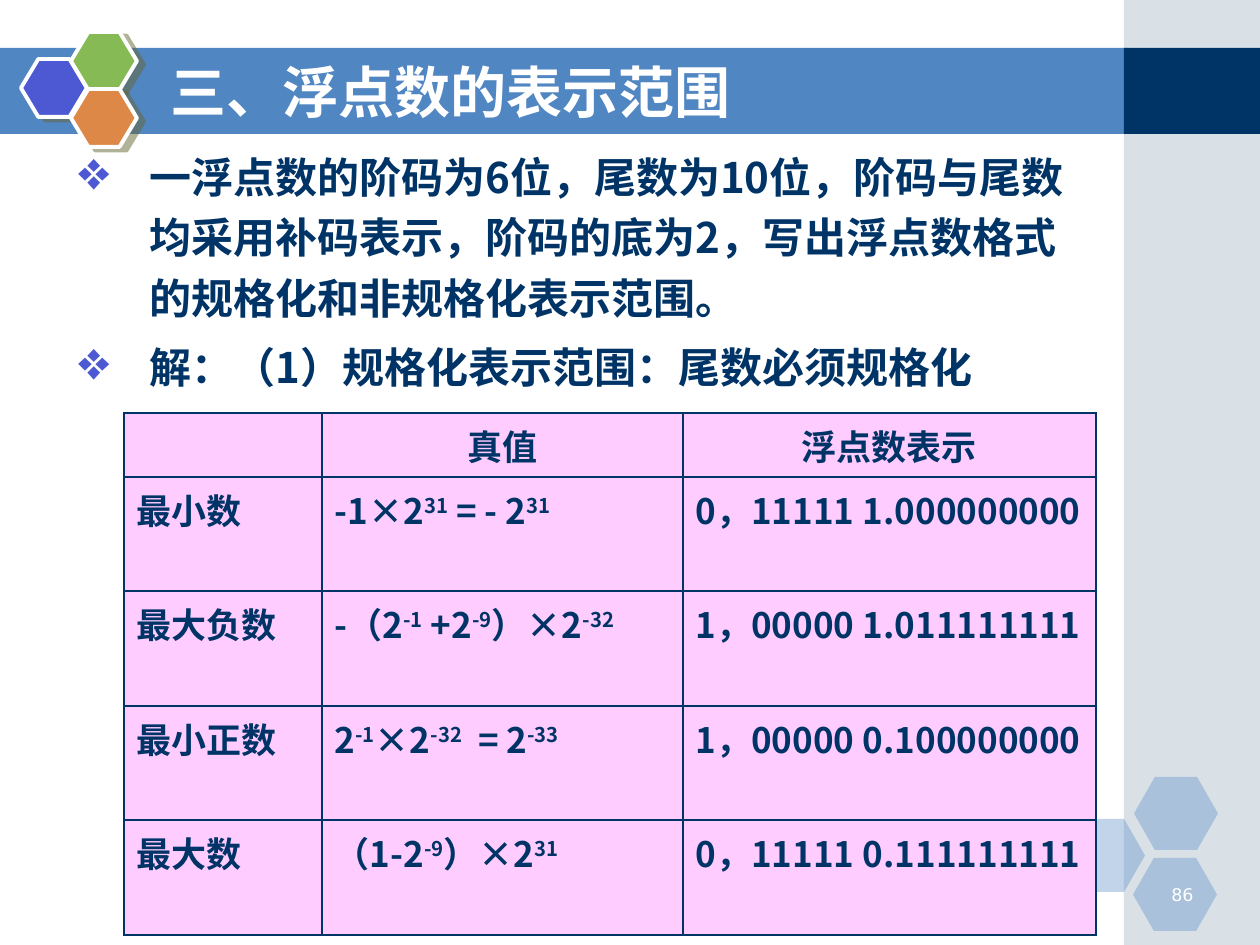
from dataclasses import dataclass
from typing import Any, Optional

import lxml.etree
import pptx
import pptx.dml.color
import pptx.enum.shapes
import pptx.enum.text
import pptx.oxml
import pptx.oxml.ns
import pptx.util

PX = 914400 / 126
CJK = "Noto Sans CJK SC"
NAVY = "003366"
BLUE = "5086C2"
WHITE = "FFFFFF"
PINK = "FFCCFF"
VIOLET = "4C59D2"
NS = pptx.oxml.ns.nsdecls("a")
SHAPE = pptx.enum.shapes.MSO_SHAPE
ALIGN = pptx.enum.text.PP_ALIGN
ANCHOR = pptx.enum.text.MSO_ANCHOR


@dataclass(frozen=True)
class Block:
    x: int
    y: int
    w: int
    h: int
    fill: str
    opacity: Optional[int] = None


@dataclass(frozen=True)
class Hexagon(Block):
    adj: float = 0.286
    outlined: bool = False


BLOCKS = [
    Block(0, 48, 1128, 86, BLUE),
    Block(1124, 0, 136, 945, "A0B5C4", 40),
    Block(1124, 48, 136, 86, NAVY),
]
HEXAGONS = [
    Hexagon(x, y, 84, 73, BLUE, 35) for x, y in [(1061, 819), (1134, 777), (1133, 858)]
] + [
    Hexagon(x, y, 66, 58, fill, adj=0.3, outlined=True)
    for x, y, fill in [(21, 59, VIOLET), (71, 32, "85BA54"), (71, 89, "DE8848")]
]
BODY = [
    "一浮点数的阶码为6位，尾数为10位，阶码与尾数均采用补码表示，阶码的底为2，写出浮点数格式的规格化和非规格化表示范围。",
    "解：（1）规格化表示范围：尾数必须规格化",
]
COLUMNS = [198, 361, 413]
ROWS = [64, 114, 115, 114, 115]
CELLS = [
    ["", "真值", "浮点数表示"],
    ["最小数", "-1×2^31^ = - 2^31", "0，11111 1.000000000"],
    ["最大负数", "-（2^-1^ +2^-9^）×2^-32", "1，00000 1.011111111"],
    ["最小正数", "2^-1^×2^-32^  = 2^-33", "1，00000 0.100000000"],
    ["最大数", "（1-2^-9^）×2^31", "0，11111 0.111111111"],
]


def px(n: int) -> int:
    return pptx.util.Emu(round(n * PX))


def box(x: int, y: int, w: int, h: int) -> tuple:
    return px(x), px(y), px(w), px(h)


def rgb(value: str) -> Any:
    return pptx.dml.color.RGBColor.from_string(value)


def style_run(r: Any, size: int, color: str, name: str = CJK, bold: bool = True) -> None:
    r.font.size = pptx.util.Pt(size)
    r.font.name = name
    r.font.bold = bold
    r.font.color.rgb = rgb(color)
    ea = lxml.etree.SubElement(r.font._element, pptx.oxml.ns.qn("a:ea"))
    ea.set("typeface", name)


def draw_block(s: Any, block: Block, preset: Any = SHAPE.RECTANGLE) -> Any:
    sp = s.shapes.add_shape(preset, *box(block.x, block.y, block.w, block.h))
    sp.shadow.inherit = False
    sp.fill.solid()
    sp.fill.fore_color.rgb = rgb(block.fill)
    sp.line.fill.background()
    if block.opacity is not None:
        color = sp._element.spPr.find(".//" + pptx.oxml.ns.qn("a:srgbClr"))
        alpha = lxml.etree.SubElement(color, pptx.oxml.ns.qn("a:alpha"))
        alpha.set("val", str(block.opacity * 1000))
    return sp


def draw_hexagon(s: Any, hexagon: Hexagon) -> None:
    sp = draw_block(s, hexagon, SHAPE.HEXAGON)
    sp.adjustments[0] = hexagon.adj
    if hexagon.outlined:
        sp.line.color.rgb = rgb(WHITE)
        sp.line.width = pptx.util.Pt(2.25)
        effects = sp._element.spPr.find(pptx.oxml.ns.qn("a:effectLst"))
        effects.append(pptx.oxml.parse_xml(
            f'<a:outerShdw {NS} blurRad="0" dist="57150" dir="1620000" algn="ctr" rotWithShape="0">'
            '<a:srgbClr val="666633"><a:alpha val="50000"/></a:srgbClr></a:outerShdw>'
        ))


def draw_title(s: Any, text: str) -> None:
    title = s.shapes.title
    title.element.getparent().append(title.element)
    title.left, title.top, title.width, title.height = box(158, 52, 781, 78)
    tf = title.text_frame
    tf.text = text
    tf.auto_size = pptx.enum.text.MSO_AUTO_SIZE.NONE
    tf.vertical_anchor = ANCHOR.MIDDLE
    tf.paragraphs[0].alignment = ALIGN.LEFT
    style_run(tf.paragraphs[0].runs[0], 32, WHITE)


def draw_body(s: Any, texts: list[str]) -> None:
    tf = s.shapes.add_textbox(*box(64, 135, 1044, 297)).text_frame
    tf.word_wrap = True
    tf.text = "\n".join(texts)
    for p in tf.paragraphs:
        p.line_spacing = 1.2
        p.space_before = pptx.util.Pt(5)
        pPr = p._p.get_or_add_pPr()
        pPr.set("marL", str(px(73)))
        pPr.set("indent", str(-px(71)))
        for bullet in (
            f'<a:buClr {NS}><a:srgbClr val="{VIOLET}"/></a:buClr>',
            f'<a:buSzPct {NS} val="130000"/>',
            f'<a:buChar {NS} char="❖"/>',
        ):
            pPr.append(pptx.oxml.parse_xml(bullet))
        style_run(p.runs[0], 24, NAVY)


def draw_page_number(s: Any, number: str) -> None:
    tf = s.shapes.add_textbox(*box(1143, 878, 63, 32)).text_frame
    tf.word_wrap = True
    tf.text = number
    p = tf.paragraphs[0]
    p.alignment = ALIGN.RIGHT
    style_run(p.runs[0], 10, WHITE, "DejaVu Sans", False)


def fill_cell(cell: Any, text: str, header: bool) -> None:
    cell.fill.solid()
    cell.fill.fore_color.rgb = rgb(PINK)
    tcPr = cell._tc.get_or_add_tcPr()
    for i, side in enumerate("LRTB"):
        tcPr.insert(i, pptx.oxml.parse_xml(
            f'<a:ln{side} {NS} w="12700"><a:solidFill><a:srgbClr val="{NAVY}"/>'
            f'</a:solidFill></a:ln{side}>'
        ))
    p = cell.text_frame.paragraphs[0]
    if header:
        cell.vertical_anchor = ANCHOR.MIDDLE
        p.alignment = ALIGN.CENTER
    for i, part in enumerate(text.split("^")):
        if part:
            r = p.add_run()
            r.text = part
            style_run(r, 20, NAVY)
            if i % 2:
                r.font._element.set("baseline", "30000")


def draw_table(s: Any) -> None:
    frame = s.shapes.add_table(
        len(ROWS), len(COLUMNS), *box(124, 413, sum(COLUMNS), sum(ROWS)))
    table = frame.table
    table.first_row = False
    table.horz_banding = False
    for column, width in zip(table.columns, COLUMNS):
        column.width = px(width)
    for i, (height, texts) in enumerate(zip(ROWS, CELLS)):
        table.rows[i].height = px(height)
        for j, text in enumerate(texts):
            fill_cell(table.cell(i, j), text, i == 0)


def main() -> None:
    prs = pptx.Presentation()
    prs.slide_width, prs.slide_height = px(1260), px(945)
    s = prs.slides.add_slide(prs.slide_layouts[5])
    for block in BLOCKS:
        draw_block(s, block)
    for hexagon in HEXAGONS:
        draw_hexagon(s, hexagon)
    draw_page_number(s, "86")
    draw_title(s, "三、浮点数的表示范围")
    draw_body(s, BODY)
    draw_table(s)
    prs.save("out.pptx")


if __name__ == "__main__":
    main()
